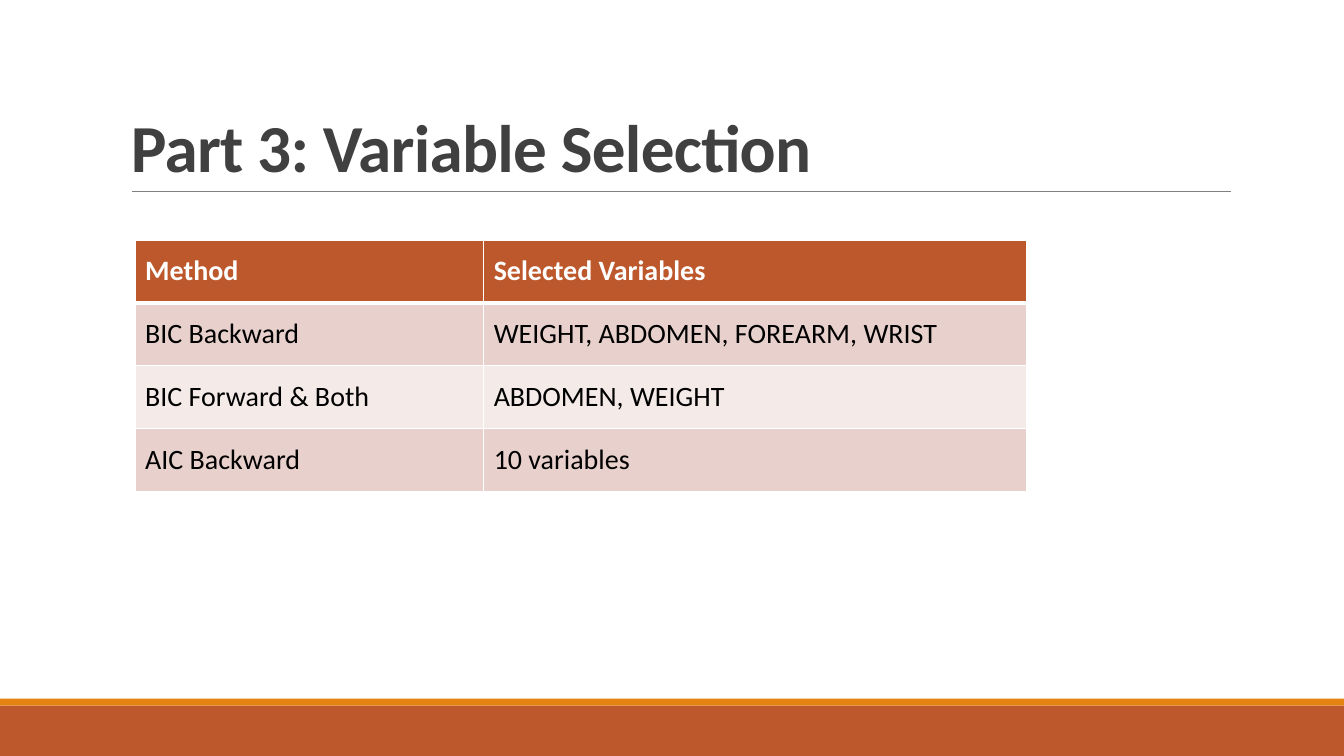
from lxml import etree
from pptx import Presentation
from pptx.dml.color import RGBColor
from pptx.enum import shapes, text
from pptx.oxml import ns
from pptx.util import Pt

RUST = RGBColor(0xBD, 0x58, 0x2C)
AMBER = RGBColor(0xE4, 0x83, 0x12)
GREY = RGBColor(0x80, 0x80, 0x80)
DARK = RGBColor(0x40, 0x40, 0x40)
BLACK = RGBColor(0, 0, 0)
WHITE = RGBColor(0xFF, 0xFF, 0xFF)
ROSE = RGBColor(0xE8, 0xD1, 0xCD)
PALE = RGBColor(0xF4, 0xEA, 0xE8)


def write(frame, words, size=20, color=BLACK, bold=False, font="Calibri",
          space=None, track=None):
    para = frame.paragraphs[0]
    para.line_spacing = space
    run = para.add_run()
    run.text = words
    run.font.name, run.font.size, run.font.bold = font, Pt(size), bold
    run.font.color.rgb = color
    if track is not None:
        run.font._element.set("spc", str(round(track * 100)))


def edge(cell, widths, color=WHITE):
    """Draw cell borders; the widths run left, right, top, bottom."""
    props = cell._tc.get_or_add_tcPr()
    for place, (side, width) in enumerate(zip("LRTB", widths)):
        line = etree.Element(ns.qn("a:ln" + side), w=str(Pt(width)))
        fill = etree.SubElement(line, ns.qn("a:solidFill"))
        etree.SubElement(fill, ns.qn("a:srgbClr"), val=str(color))
        props.insert(place, line)


class Deck:
    def __init__(self, wide, high):
        self.show = Presentation()
        self.show.slide_width, self.show.slide_height = Pt(wide), Pt(high)
        self.slide = self.show.slides.add_slide(self.show.slide_layouts[6])

    def bar(self, *box, fill):
        shape = self.slide.shapes.add_shape(
            shapes.MSO_SHAPE.RECTANGLE, *map(Pt, box))
        shape.shadow.inherit = False
        shape.fill.solid()
        shape.fill.fore_color.rgb = fill
        shape.line.fill.background()

    def rule(self, *ends, color, width):
        line = self.slide.shapes.add_connector(
            shapes.MSO_CONNECTOR.STRAIGHT, *map(Pt, ends))
        line.line.color.rgb, line.line.width = color, Pt(width)
        etree.SubElement(line._element.spPr, ns.qn("a:effectLst"))

    def label(self, *box, words, **style):
        frame = self.slide.shapes.add_textbox(*map(Pt, box)).text_frame
        frame.word_wrap = True
        frame.vertical_anchor = text.MSO_ANCHOR.BOTTOM
        write(frame, words, **style)

    def table(self, left, top, cols, high, rows):
        grid = self.slide.shapes.add_table(
            len(rows), len(cols), Pt(left), Pt(top),
            Pt(sum(cols)), Pt(high * len(rows))).table
        for col, width in zip(grid.columns, cols):
            col.width = Pt(width)
        for r, row in enumerate(rows):
            grid.rows[r].height = Pt(high)
            head = r == 0
            fill = RUST if head else ROSE if r % 2 else PALE
            for c, words in enumerate(row):
                cell = grid.cell(r, c)
                cell.vertical_anchor = text.MSO_ANCHOR.MIDDLE
                cell.fill.solid()
                cell.fill.fore_color.rgb = fill
                edge(cell, (1, 1, 3 if r == 1 else 1, 3 if head else 1))
                write(cell.text_frame, words, bold=head,
                      color=WHITE if head else BLACK)


deck = Deck(960, 540)

# Footer bands
deck.bar(0, 504, 960, 36, fill=RUST)
deck.bar(0, 499, 960, 5, fill=AMBER)

# Title and rule
deck.rule(94.3, 136.8, 879, 136.8, color=GREY, width=0.5)
deck.label(86.4, 22.6, 792, 114.2, words="Part 3: Variable Selection",
           size=48, color=DARK, bold=True, space=0.85, track=-0.5)

# Selected variables by method
deck.table(96.5, 171.4, (249, 387.6), 44.9, [
    ("Method", "Selected Variables"),
    ("BIC Backward", "WEIGHT, ABDOMEN, FOREARM, WRIST"),
    ("BIC Forward & Both", "ABDOMEN, WEIGHT"),
    ("AIC Backward", "10 variables"),
])

deck.show.save("out.pptx")
